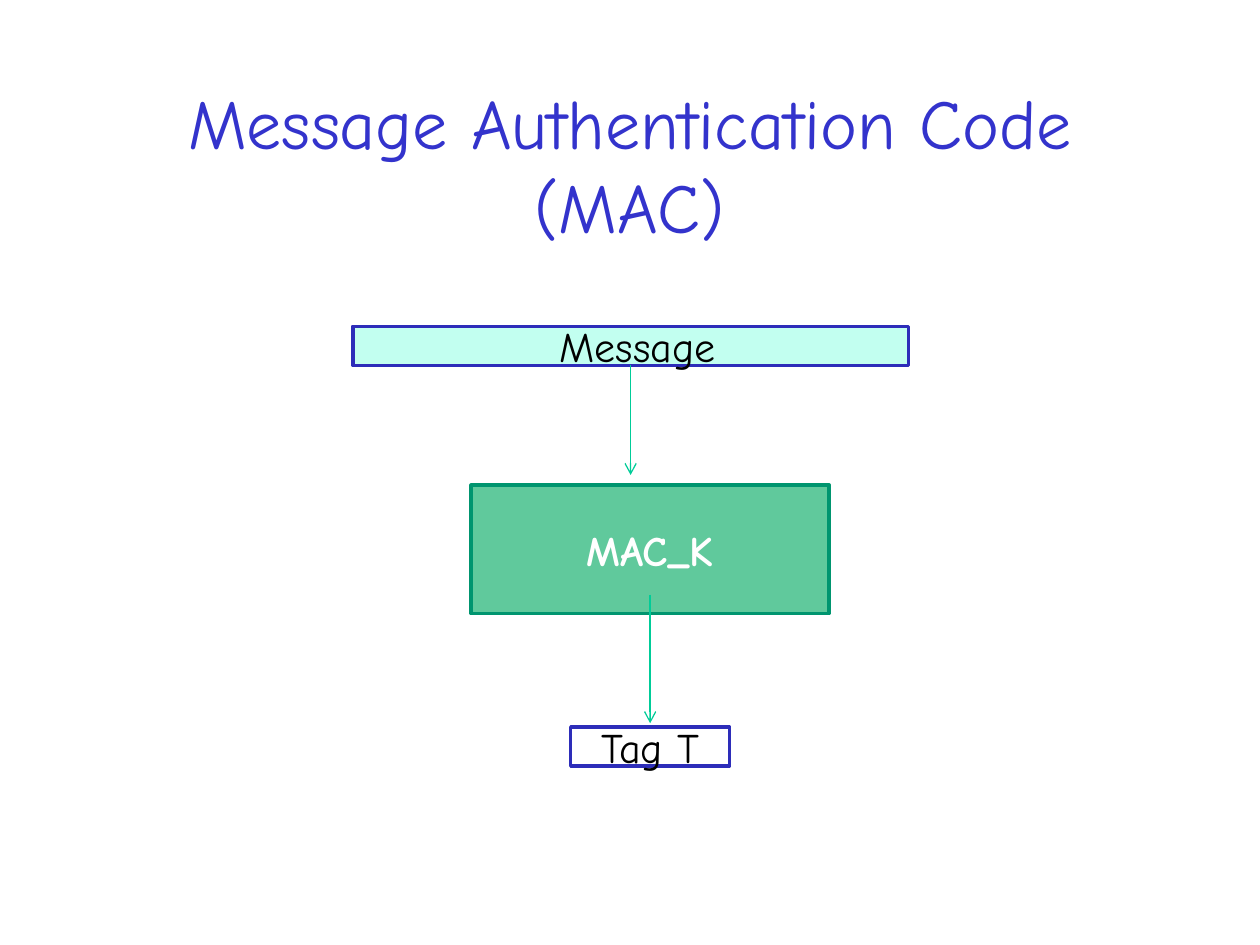
from dataclasses import dataclass

from lxml import etree
from pptx import Presentation
from pptx.dml.color import RGBColor as Rgb
from pptx.enum import shapes as shp, text as txt
from pptx.oxml import ns
from pptx.util import Inches, Pt


@dataclass(frozen=True)
class Theme:
    face: str = "Comic Neue"
    head: int = 40
    body: int = 24
    edge: float = 2
    thin: float = 0.75
    title: str = "3333CC"
    ink: str = "000000"
    white: str = "FFFFFF"
    blue: str = "2D2DB9"
    mint: str = "C2FFF0"
    green: str = "60C99C"
    dark: str = "00956F"
    arrow: str = "00CC98"


T = Theme()


def write(frame, words, size, color, bold=False):
    frame.word_wrap = True
    frame.vertical_anchor = txt.MSO_ANCHOR.MIDDLE
    para = frame.paragraphs[0]
    para.text = words
    para.alignment = txt.PP_ALIGN.CENTER
    font = para.font
    font.name, font.size, font.bold = T.face, Pt(size), bold
    font.color.rgb = Rgb.from_string(color)


def add_title(slide, box, words):
    title = slide.shapes.title
    title.left, title.top, title.width, title.height = map(Inches, box)
    write(title.text_frame, words, T.head, T.title)
    title.text_frame.auto_size = txt.MSO_AUTO_SIZE.NONE


def add_block(slide, box, words, fill, edge, color=T.ink, bold=False):
    block = slide.shapes.add_shape(shp.MSO_SHAPE.RECTANGLE, *map(Inches, box))
    block.shadow.inherit = False
    if fill:
        block.fill.solid()
        block.fill.fore_color.rgb = Rgb.from_string(fill)
    else:
        block.fill.background()
    block.line.color.rgb = Rgb.from_string(edge)
    block.line.width = Pt(T.edge)
    write(block.text_frame, words, T.body, color, bold)
    return block


def add_arrow(slide, x, top, end):
    line = slide.shapes.add_connector(
        shp.MSO_CONNECTOR.STRAIGHT, *map(Inches, (x, top, x, end)))
    line.line.color.rgb = Rgb.from_string(T.arrow)
    line.line.width = Pt(T.thin)
    tip = etree.SubElement(line.line._get_or_add_ln(), ns.qn("a:tailEnd"))
    tip.set("type", "arrow")
    etree.SubElement(line._element.spPr, ns.qn("a:effectLst"))
    return line


def add_flow(slide, box):
    left, top, width, height = box
    thin = 0.31
    mid = left + 2.36
    add_block(slide, (mid - 1.42, top + 1.26, 2.84, 1.02), "MAC_K",
              T.green, T.dark, T.white, True)
    source = add_block(slide, (left, top, width, thin), " Message",
                       T.mint, T.blue)
    add_block(slide, (mid - 0.63, top + height - thin, 1.26, thin), "Tag T",
              None, T.blue)
    feed = add_arrow(slide, left + width / 2, top + thin, top + 1.18)
    feed.begin_connect(source, 2)
    add_arrow(slide, mid, top + 2.13, top + 3.15)


def main():
    deck = Presentation()
    deck.slide_width, deck.slide_height = Inches(10), Inches(7.5)
    slide = deck.slides.add_slide(deck.slide_layouts[5])
    add_title(slide, (0.75, 0.67, 8.5, 1.25),
              "Message Authentication Code (MAC)")
    add_flow(slide, (2.8, 2.59, 4.41, 3.49))
    deck.save("out.pptx")


if __name__ == "__main__":
    main()
